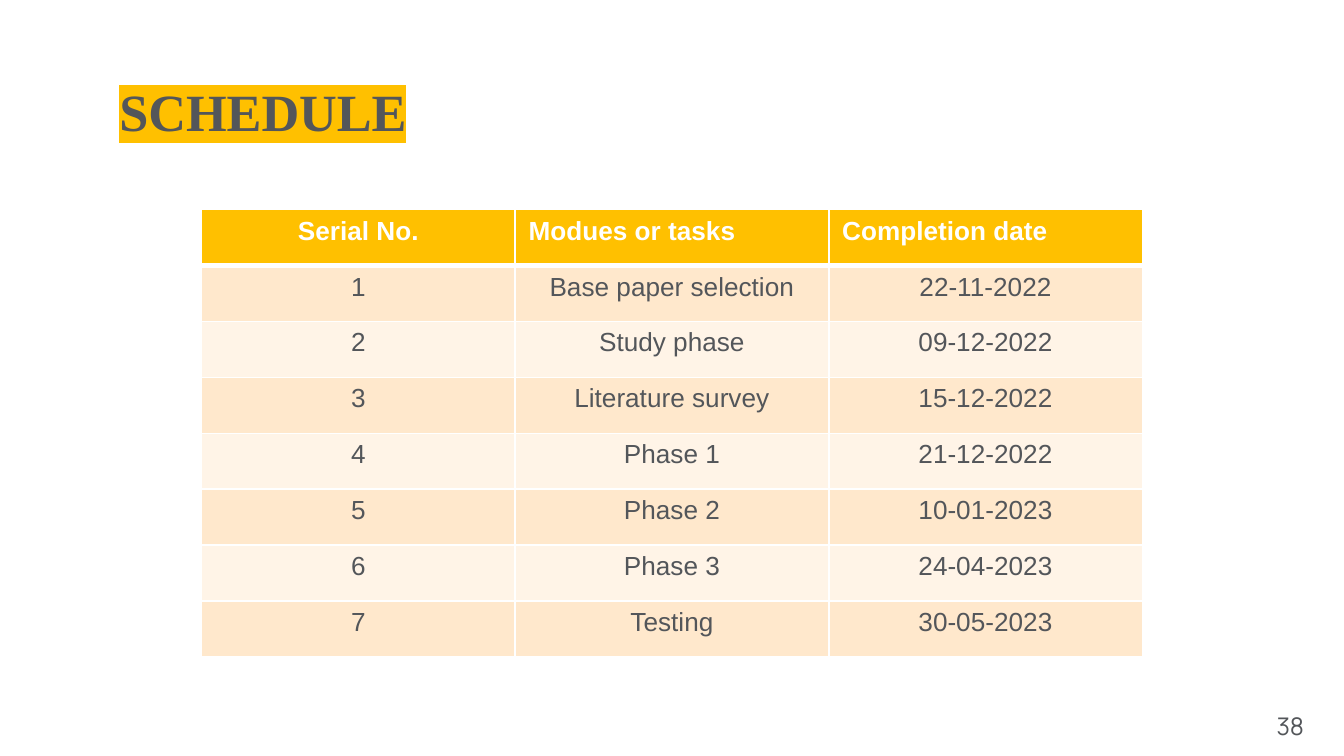
from dataclasses import dataclass

from lxml.etree import SubElement
from pptx import Presentation
from pptx.dml.color import RGBColor
from pptx.enum.text import MSO_ANCHOR as Anchor, PP_ALIGN as Align
from pptx.oxml import parse_xml
from pptx.oxml.ns import nsdecls, qn
from pptx.util import Inches, Pt


@dataclass(frozen=True)
class Theme:
    ink: str = "53565A"
    accent: str = "FFC000"
    paper: str = "FFFFFF"
    bands: tuple = ("FFE8CC", "FFF4E7")
    title_font: str = "Times New Roman"
    table_font: str = "Arial"
    number_font: str = "Manrope"
    title_size: int = 28
    table_size: int = 14
    number_size: int = 13
    rule: int = 1
    header_rule: int = 3


class Deck:
    """Draws on one slide; boxes are (left, top, width, height) as shares of its size."""

    def __init__(self, theme, width, height):
        self.theme = theme
        self.show = Presentation()
        self.show.slide_width, self.show.slide_height = Inches(width), Inches(height)
        self.slide = self.show.slides.add_slide(self.show.slide_layouts[6])

    def place(self, box):
        sides = (self.show.slide_width, self.show.slide_height) * 2
        return [round(share * side) for share, side in zip(box, sides)]

    def run(self, paragraph, words, font, size, color, bold=False, highlight=None):
        run = paragraph.add_run()
        run.text = words
        run.font.name, run.font.size, run.font.bold = font, Pt(size), bold
        run.font.color.rgb = RGBColor.from_string(color)
        if highlight:
            mark = parse_xml(f'<a:highlight {nsdecls("a")}><a:srgbClr val="{highlight}"/></a:highlight>')
            run._r.get_or_add_rPr().find(qn("a:solidFill")).addnext(mark)

    def text(self, box, words, anchor=Anchor.TOP, **style):
        frame = self.slide.shapes.add_textbox(*self.place(box)).text_frame
        frame.word_wrap = True
        frame.vertical_anchor = anchor
        frame.margin_left = frame.margin_right = Inches(0.1)
        frame.margin_top = frame.margin_bottom = Inches(0.1)
        self.run(frame.paragraphs[0], words, **style)

    def borders(self, cell, above, below):
        """Rule all four sides; the lines must come before the cell's fill."""
        rule = self.theme.rule
        widths = {"lnL": rule, "lnR": rule, "lnT": above, "lnB": below}
        properties = cell._tc.get_or_add_tcPr()
        for position, (side, width) in enumerate(widths.items()):
            line = SubElement(properties, qn(f"a:{side}"), w=str(Pt(width)))
            SubElement(SubElement(line, qn("a:solidFill")), qn("a:srgbClr"), val=self.theme.paper)
            properties.insert(position, line)

    def table(self, box, header, tasks):
        theme = self.theme
        rows = [header, *tasks]
        grid = self.slide.shapes.add_table(len(rows), len(header), *self.place(box)).table
        for r, values in enumerate(rows):
            is_header = r == 0
            fill = theme.accent if is_header else theme.bands[(r - 1) % 2]
            above = theme.header_rule if r == 1 else theme.rule
            below = theme.header_rule if is_header else theme.rule
            for c, value in enumerate(values):
                cell = grid.cell(r, c)
                cell.fill.solid()
                cell.fill.fore_color.rgb = RGBColor.from_string(fill)
                self.borders(cell, above, below)
                paragraph = cell.text_frame.paragraphs[0]
                paragraph.alignment = Align.LEFT if is_header and c else Align.CENTER
                self.run(paragraph, value, theme.table_font, theme.table_size,
                         theme.paper if is_header else theme.ink, bold=is_header)


HEADER = ("Serial No.", "Modues or tasks", "Completion date")
TASKS = (
    ("Base paper selection", "22-11-2022"),
    ("Study phase", "09-12-2022"),
    ("Literature survey", "15-12-2022"),
    ("Phase 1", "21-12-2022"),
    ("Phase 2", "10-01-2023"),
    ("Phase 3", "24-04-2023"),
    ("Testing", "30-05-2023"),
)


def main():
    theme = Theme()
    width = 10
    height = width * 9 / 16
    deck = Deck(theme, width, height)
    deck.text((0.94, 5.19 / height, 0.06, 0.43 / height), "38", font=theme.number_font,
              size=theme.number_size, color=theme.ink)
    deck.text((0.79 / width, 0.29 / height, 8.23 / width, 0.87 / height), "SCHEDULE",
              Anchor.BOTTOM, font=theme.title_font, size=theme.title_size,
              color=theme.ink, bold=True, highlight=theme.accent)
    numbered = [(str(serial), *task) for serial, task in enumerate(TASKS, 1)]
    deck.table((0.15, 1.56 / height, 0.7, 3.33 / height), HEADER, numbered)
    deck.show.save("out.pptx")


if __name__ == "__main__":
    main()
